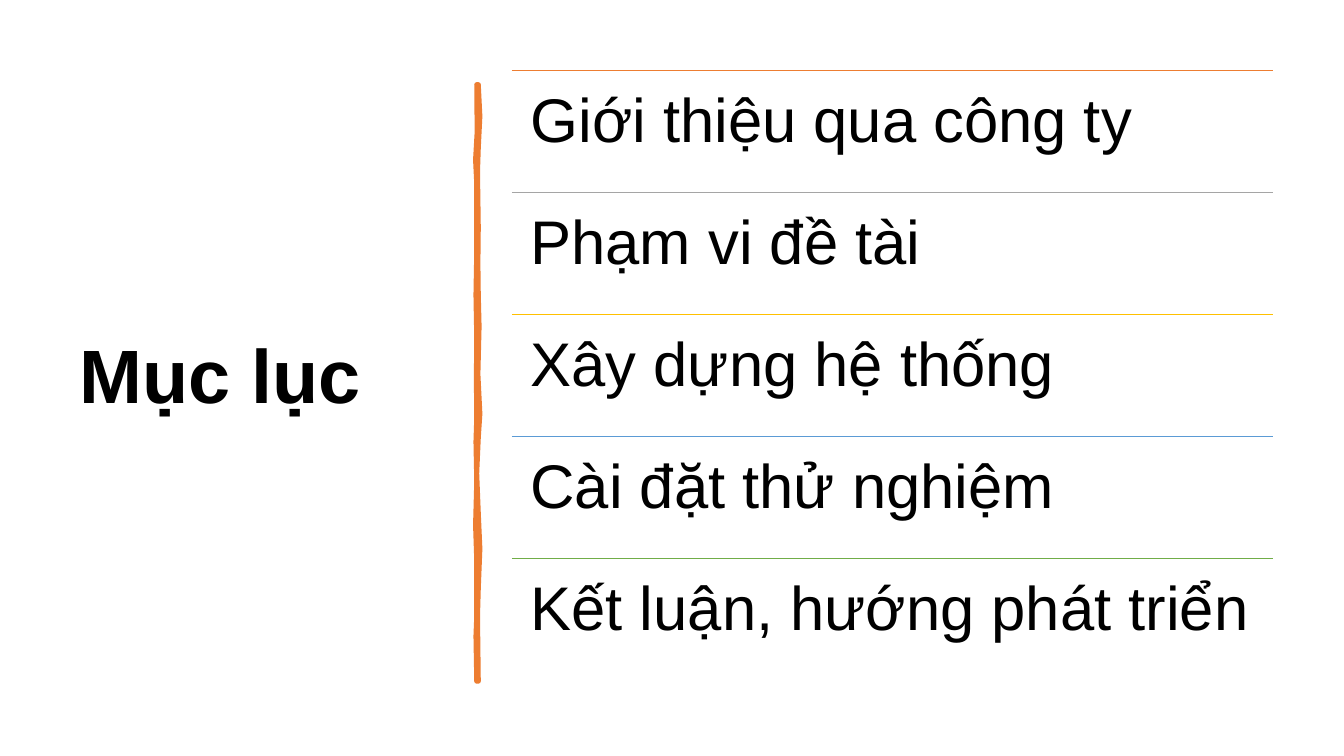
from pptx import Presentation
from pptx.dml.color import RGBColor
from pptx.enum.shapes import MSO_CONNECTOR as Connector
from pptx.enum.text import MSO_ANCHOR as Anchor
from pptx.oxml.ns import qn
from pptx.util import Cm, Pt
from lxml.etree import SubElement

BLACK = RGBColor(0x00, 0x00, 0x00)
ORANGE = RGBColor(0xED, 0x7D, 0x31)
GRAY = RGBColor(0xA5, 0xA5, 0xA5)
GOLD = RGBColor(0xFF, 0xC0, 0x00)
BLUE = RGBColor(0x5B, 0x9B, 0xD5)
GREEN = RGBColor(0x70, 0xAD, 0x47)

TOPICS = [
    ("Giới thiệu qua công ty", ORANGE),
    ("Phạm vi đề tài", GRAY),
    ("Xây dựng hệ thống", GOLD),
    ("Cài đặt thử nghiệm", BLUE),
    ("Kết luận, hướng phát triển", GREEN),
]

RIGHT_EDGE = [
    (0.08, 0), (0.12, 0.8), (0.08, 1.6), (0.06, 2.2), (0.08, 3.6),
    (0.07, 4.5), (0.08, 5.3), (0.1, 6.1), (0.08, 6.9), (0.07, 7.3),
    (0.12, 8.3), (0.08, 8.9), (0.04, 9.8), (0.08, 10.8), (0.12, 11.7),
    (0.08, 12.7), (0.06, 13.4), (0.08, 15.04),
]
LEFT_EDGE = [
    (0.03, 15.04), (0.01, 13.9), (0.03, 13.4), (0.03, 12), (0, 11.1),
    (0.03, 10), (0.01, 9), (0.03, 8.4), (0.02, 7.4), (0.03, 6.4),
    (0.01, 5.3), (0.03, 4.2), (0.03, 2.5), (0, 1.9), (0.04, 1.2), (0.03, 0),
]


def add_text(slide, text, box, size, inset, anchor, bold=False):
    """Place one line of black text in the box, given in centimetres."""
    frame = slide.shapes.add_textbox(*(Cm(length) for length in box)).text_frame
    frame.word_wrap = True
    frame.vertical_anchor = anchor
    frame.margin_left = frame.margin_right = Cm(inset)
    frame.margin_top = frame.margin_bottom = Cm(inset)
    paragraph = frame.paragraphs[0]
    paragraph.text = text
    paragraph.line_spacing = 0.9
    font = paragraph.font
    font.name, font.size, font.bold = "Arial", Pt(size), bold
    font.color.rgb = BLACK


def add_title(slide, left, top, width, height):
    """Place the heading, centred vertically in its box."""
    add_text(slide, "Mục lục", (left, top, width, height), 54, 0.25, Anchor.MIDDLE, True)


def add_brush_stroke(slide, left, top):
    """Draw the hand-drawn vertical divider from its top left corner."""
    points = [(Cm(left + x), Cm(top + y)) for x, y in RIGHT_EDGE + LEFT_EDGE]
    builder = slide.shapes.build_freeform(*points[0])
    builder.add_line_segments(points[1:], close=True)
    stroke = builder.convert_to_shape()
    stroke.shadow.inherit = False
    stroke.fill.solid()
    stroke.fill.fore_color.rgb = ORANGE
    stroke.line.color.rgb = ORANGE
    stroke.line.width = Pt(3.25)


def add_topics(slide, left, top, width, height):
    """Stack the topics in equal rows, each under a coloured rule."""
    row_height = height / len(TOPICS)
    for index, (topic, color) in enumerate(TOPICS):
        row_top = top + index * row_height
        rule = slide.shapes.add_connector(
            Connector.STRAIGHT, Cm(left), Cm(row_top), Cm(left + width), Cm(row_top))
        rule.line.color.rgb = color
        rule.line.width = Pt(1)
        SubElement(rule._element.spPr, qn("a:effectLst"))
        add_text(slide, topic, (left, row_top, width, row_height), 44, 0.47, Anchor.TOP)


def main():
    """Build the contents slide and save it."""
    presentation = Presentation()
    presentation.slide_width = Cm(33.87)
    presentation.slide_height = Cm(19.05)
    slide = presentation.slides.add_slide(presentation.slide_layouts[6])
    add_title(slide, 1.75, 1.78, 9.5, 15.52)
    add_brush_stroke(slide, 11.98, 2.13)
    add_topics(slide, 12.9, 1.78, 19.18, 15.37)
    presentation.save("out.pptx")


if __name__ == "__main__":
    main()
